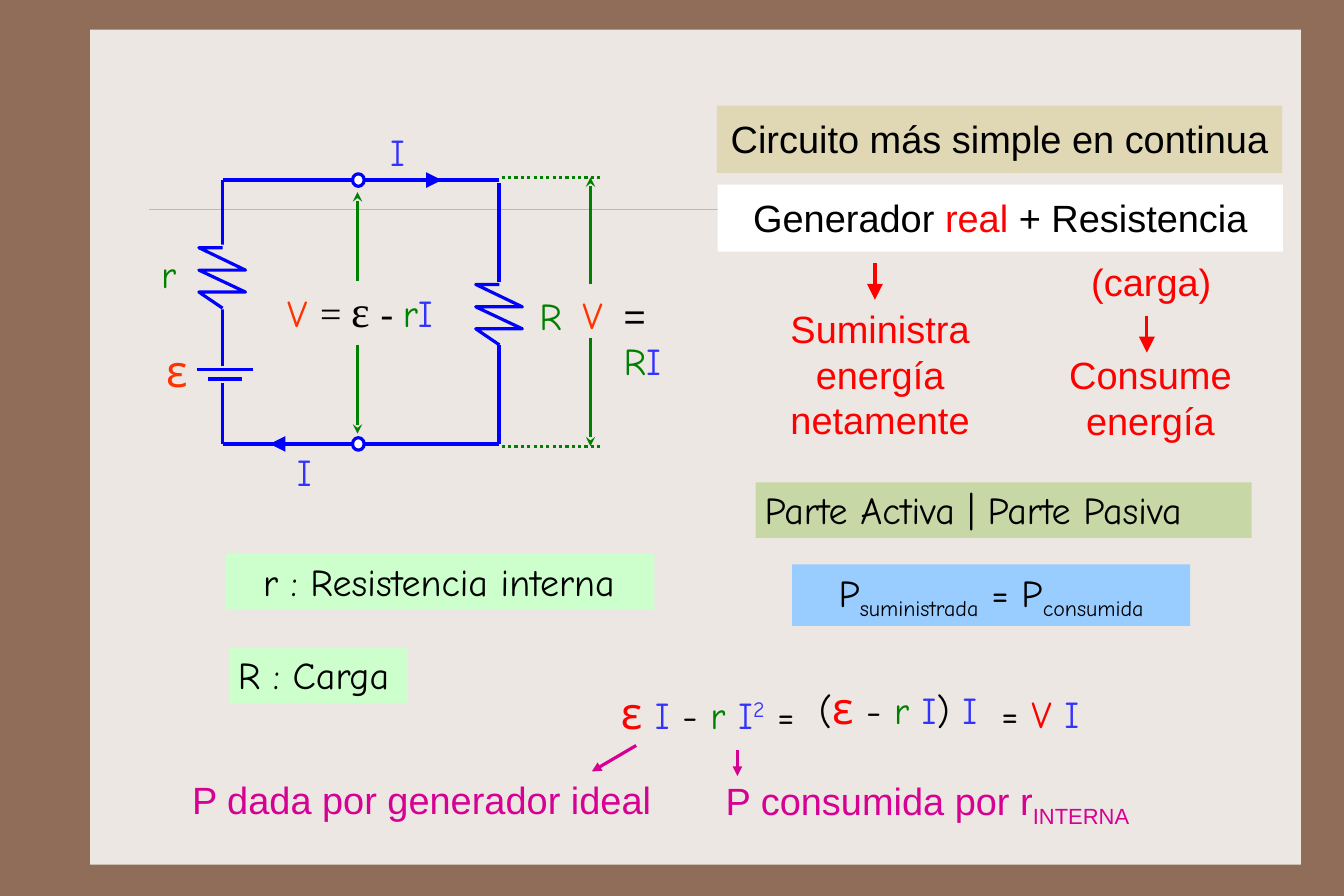
from dataclasses import dataclass

import pptx
import pptx.dml.color
import pptx.enum.dml
import pptx.enum.shapes
import pptx.enum.text
import pptx.util
from lxml import etree
from pptx.oxml.ns import qn

Cm, Pt = pptx.util.Cm, pptx.util.Pt
MSO_SHAPE = pptx.enum.shapes.MSO_SHAPE
PP_ALIGN = pptx.enum.text.PP_ALIGN
MSO_ANCHOR = pptx.enum.text.MSO_ANCHOR


@dataclass(frozen=True)
class Theme:
    frame: str = "906D58"
    panel: str = "EDE7E3"
    rule: str = "CBBD83"
    wire: str = "0000FF"
    current: str = "3333FF"
    voltage: str = "FF3300"
    green: str = "008000"
    red: str = "FF0000"
    magenta: str = "D60093"
    black: str = "000000"
    white: str = "FFFFFF"
    tan: str = "E0D7B5"
    olive: str = "C7D7A5"
    mint: str = "CCFFCC"
    sky: str = "99CCFF"
    hand: str = "Comic Neue"
    sans: str = "Arial"
    serif: str = "Times New Roman"
    size: int = 24
    symbol: int = 28
    stroke: float = 2


T = Theme()
SMALL, LABEL, MEDIUM, LARGE = (0.2, 0.1), (0.25, 0.13), (0.25, 0.23), (0.25, 0.33)


def rgb(color):
    return pptx.dml.color.RGBColor.from_string(color)


def run(text, color=T.black, font=T.hand, size=T.size, base=0):
    return text, color, font, size, base


class Diagram:
    def __init__(self, slide, theme):
        self.s, self.t = slide, theme

    def style(self, sp, fill=None, line=None):
        sp.shadow.inherit = False
        if fill:
            sp.fill.solid()
            sp.fill.fore_color.rgb = rgb(fill)
        else:
            sp.fill.background()
        if line:
            sp.line.color.rgb = rgb(line)
            sp.line.width = Pt(self.t.stroke)
        else:
            sp.line.fill.background()

    def shape(self, box, fill, line=None, kind=MSO_SHAPE.RECTANGLE):
        sp = self.s.shapes.add_shape(kind, *map(Cm, box))
        self.style(sp, fill, line)
        return sp

    def line(self, x1, y1, x2, y2, color, width=T.stroke, head=None, head_size="med", dotted=False):
        cx = self.s.shapes.add_connector(
            pptx.enum.shapes.MSO_CONNECTOR.STRAIGHT, Cm(x1), Cm(y1), Cm(x2), Cm(y2))
        cx.line.color.rgb = rgb(color)
        cx.line.width = Pt(width)
        if dotted:
            cx.line.dash_style = pptx.enum.dml.MSO_LINE.ROUND_DOT
        if head:
            etree.SubElement(cx.line._get_or_add_ln(), qn("a:tailEnd"),
                             type=head, w=head_size, len=head_size)
        etree.SubElement(cx._element.spPr, qn("a:effectLst"))

    def resistor(self, left, top):
        zigzag = [(0.53, 1.35), (0, 0.99), (1.04, 0.99), (0, 0.5), (1.04, 0.5), (0, 0), (0.53, 0)]
        points = [(Cm(left + x), Cm(top + y)) for x, y in zigzag]
        fb = self.s.shapes.build_freeform(*points[0])
        fb.add_line_segments(points[1:], close=False)
        self.style(fb.convert_to_shape(), line=self.t.wire)

    def text(self, box, *paragraphs, inset=SMALL, fill=None, align=PP_ALIGN.LEFT,
             anchor=MSO_ANCHOR.TOP, wrap=True, right=None):
        sp = self.shape(box, fill) if fill else self.s.shapes.add_textbox(*map(Cm, box))
        tf = sp.text_frame
        tf.word_wrap = wrap
        tf.vertical_anchor = anchor
        tf.margin_left, tf.margin_right = Cm(inset[0]), Cm(right or inset[0])
        tf.margin_top = tf.margin_bottom = Cm(inset[1])
        for i, runs in enumerate(paragraphs):
            p = tf.add_paragraph() if i else tf.paragraphs[0]
            p.alignment = align
            for text, color, font, size, base in runs:
                r = p.add_run()
                r.text = text
                r.font.name, r.font.size = font, Pt(size)
                r.font.color.rgb = rgb(color)
                if base:
                    r._r.get_or_add_rPr().set("baseline", str(base * 1000))


def draw_circuit(d):
    left, node, right, top, bottom = 4.97, 8, 11.14, 4.02, 9.91

    # Wires and battery plates
    for wire in [
        (left, top, right, top), (left, bottom, right, bottom),
        (right, bottom, right, 7.7), (right, 6.3, right, 4.09),
        (left, 8.18, left, top), (left, 8.56, left, bottom),
        (4.39, 8.25, 5.64, 8.25), (4.65, 8.46, 5.41, 8.46),
    ]:
        d.line(*wire, T.wire)

    # Terminals and resistors
    for y in (top, bottom):
        d.shape((node - 0.13, y - 0.14, 0.26, 0.28), T.white, T.wire, MSO_SHAPE.OVAL)
    d.shape((4.24, 5.46, 1.35, 1.45), T.panel)
    d.resistor(4.44, 5.53)
    d.resistor(10.62, 6.35)

    # Current direction
    for x1, x2, y in ((9.6, 9.86, top), (6.15, 6.02, bottom)):
        d.line(x1, y, x2, y, T.wire, 1, "triangle", "lg")
    for x, y in ((8.46, 2.74), (6.38, 9.88)):
        d.text((x, y, 0.86, 1.02), [run("I", T.current)], inset=LABEL)

    # Voltage dimensions
    for y in (3.96, 9.96):
        d.line(11.2, y, 13.39, y, T.green, dotted=True)
    for x, y1, y2 in ((13.18, 6.35, 3.96), (13.18, 7.54, 9.96),
                      (7.98, 6.27, 4.29), (7.98, 7.7, 9.68)):
        d.line(x, y1, x, y2, T.green, head="stealth")

    # Component labels and voltage equations
    d.text((11.84, 6.43, 0.81, 0.99), [run("R", T.green)])
    d.text((3.4, 5.49, 0.74, 0.99), [run("r", T.green)])
    d.text((3.51, 7.57, 0.74, 1.07), [run("ε", T.voltage, size=T.symbol)])
    d.text((5.84, 6.22, 4.39, 0.89),
           [run("V ", T.voltage), run("= ", font=T.serif),
            run("ε ", font=T.serif, size=T.symbol), run("- ", font=T.serif),
            run("r", T.green), run("I", T.current)], align=PP_ALIGN.CENTER)
    d.text((12.8, 6.4, 0.84, 0.99), [run("V", T.voltage)])
    d.text((13.67, 6.3, 1.93, 1.3),
           [run("= ", font=T.sans), run("R", T.green), run("I", T.current)],
           inset=MEDIUM, wrap=False)


def draw_explanation(d):
    # Headings
    headings = {"inset": MEDIUM, "align": PP_ALIGN.CENTER}
    d.text((16, 2.36, 12.62, 1.5), [run("Circuito más simple en continua", font=T.sans)],
           fill=T.tan, **headings)
    d.text((16.02, 4.12, 12.62, 1.5),
           [run("Generador ", font=T.sans), run("real ", T.red, T.sans),
            run("+ Resistencia", font=T.sans)], fill=T.white, **headings)

    # Roles of generator and load
    for box, lines in [
        ((17.09, 6.6, 5.11, 3.53), ("Suministra", "energía netamente")),
        ((23.14, 7.62, 5.08, 2.51), ("Consume", "energía")),
        ((23.16, 5.54, 5.08, 1.5), ("(carga)",)),
    ]:
        d.text(box, *[[run(line, T.red, T.sans)] for line in lines], **headings)
    for x, y in ((19.53, 5.87), (25.6, 7.05)):
        d.line(x, y, x, y + 0.82, T.red, head="triangle", head_size="lg")

    # Colored captions
    d.text((16.87, 10.77, 11.07, 1.24), [run("Parte Activa | Parte Pasiva")], fill=T.olive)
    d.text((17.68, 12.6, 8.89, 1.37),
           [run("P"), run("suministrada", base=-25), run(" = P"), run("consumida", base=-25)],
           fill=T.sky, align=PP_ALIGN.CENTER, anchor=MSO_ANCHOR.MIDDLE)
    d.text((5.03, 12.37, 9.58, 1.24), [run("r : Resistencia interna")],
           fill=T.mint, align=PP_ALIGN.RIGHT, right=0.89)
    d.text((5.11, 14.45, 3.99, 1.24), [run("R : Carga")], fill=T.mint)


def draw_power_balance(d):
    emf = run("ε", T.red, size=T.symbol)
    r, current = run("r", T.green), run(" I", T.current)

    # Power equation
    d.text((13.61, 15.06, 4.8, 1.65),
           [emf, current, run(" - "), r, current, run("2", T.current, base=30), run(" =")],
           inset=MEDIUM)
    d.text((18.03, 14.96, 4.55, 1.65),
           [run("("), emf, run(" - "), r, current, run(")"), current], inset=MEDIUM)
    d.text((22.1, 15.19, 2.9, 1.5),
           [run("= "), run("V", T.red), current], inset=MEDIUM)

    # Meaning of each term
    d.text((4.04, 17, 10.87, 1.7), [run("P dada por generador ideal", T.magenta, T.sans)],
           inset=LARGE)
    d.text((15.95, 17.02, 9.93, 1.7),
           [run("P consumida por r", T.magenta, T.sans),
            run("INTERNA", T.magenta, T.sans, base=-25)], inset=LARGE)
    for arrow in ((14.2, 16.64, 13.21, 17.22), (16.46, 16.74, 16.46, 17.32)):
        d.line(*arrow, T.magenta, head="triangle")


def main():
    prs = pptx.Presentation()
    prs.slide_width, prs.slide_height = Cm(30), Cm(20)
    s = prs.slides.add_slide(prs.slide_layouts[6])
    s.background.fill.solid()
    s.background.fill.fore_color.rgb = rgb(T.frame)
    d = Diagram(s, T)

    # Panel and rule
    d.shape((2.01, 0.66, 27.03, 18.64), T.panel)
    d.line(3.33, 4.67, 28.5, 4.67, T.rule, 0.25)

    draw_circuit(d)
    draw_explanation(d)
    draw_power_balance(d)
    prs.save("out.pptx")


if __name__ == "__main__":
    main()
